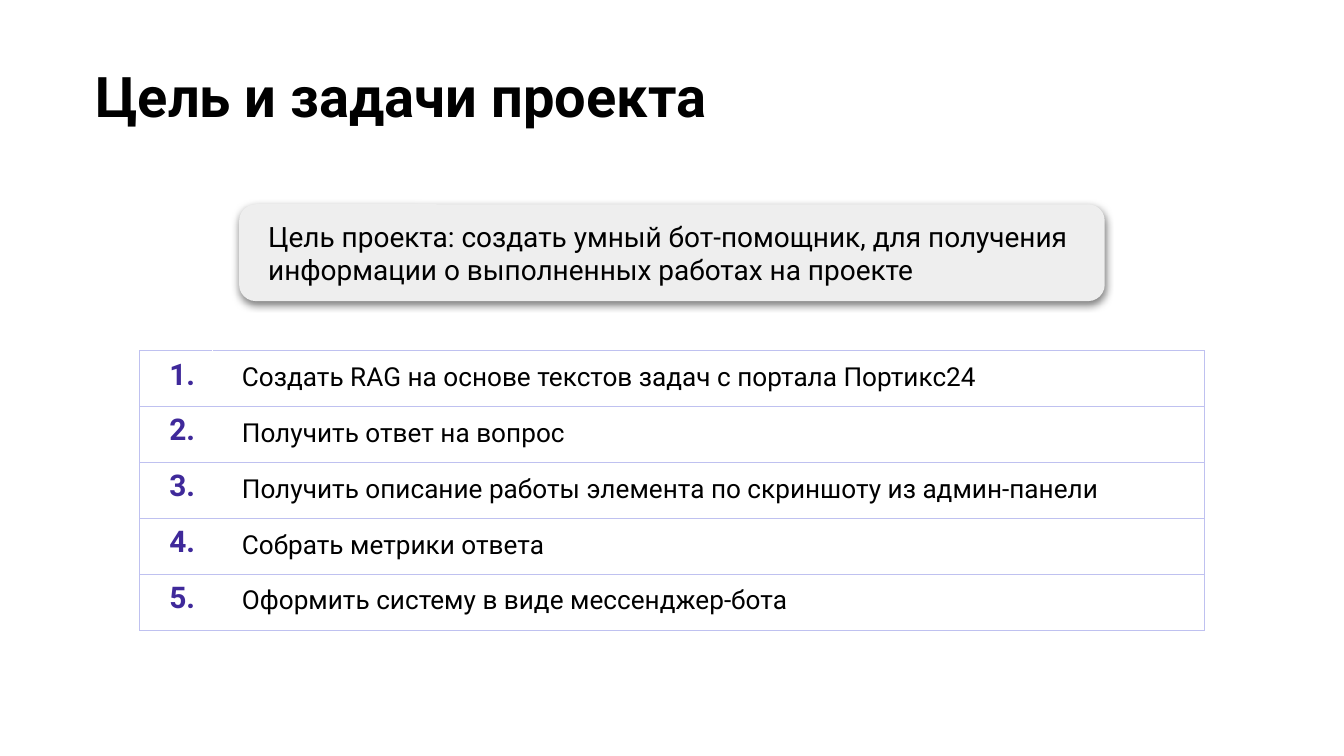
from lxml.etree import SubElement
from pptx import Presentation
from pptx.dml.color import RGBColor
from pptx.enum.shapes import MSO_SHAPE
from pptx.enum.text import MSO_ANCHOR, MSO_AUTO_SIZE, PP_ALIGN
from pptx.oxml import parse_xml
from pptx.oxml.ns import nsdecls, qn
from pptx.util import Inches, Pt

FONT = "Roboto"
COLORS = {"text": "000000", "number": "3F299A", "panel": "EEEEEE",
          "border": "BFC1F0", "divider": "FFFFFF"}
TASKS = [
    "Создать RAG на основе текстов задач с портала Портикс24",
    "Получить ответ на вопрос",
    "Получить описание работы элемента по скриншоту из админ-панели",
    "Собрать метрики ответа",
    "Оформить систему в виде мессенджер-бота",
]


def write(frame, text, size, color="text", bold=False, spacing=1.0):
    """Add one left-aligned run to the first paragraph of a text frame."""
    paragraph = frame.paragraphs[0]
    paragraph.alignment = PP_ALIGN.LEFT
    paragraph.line_spacing = spacing
    run = paragraph.add_run()
    run.text = text
    run.font.name = FONT
    run.font.size = Pt(size)
    run.font.bold = bold
    run.font.color.rgb = RGBColor.from_string(COLORS[color])


def set_margins(frame, side, vertical):
    """Set equal side and equal vertical margins of a text frame."""
    frame.margin_left = frame.margin_right = Inches(side)
    frame.margin_top = frame.margin_bottom = Inches(vertical)


def place_title(slide, left, top, width, height):
    """Place the slide heading in the title placeholder."""
    title = slide.shapes.title
    title.left, title.top = Inches(left), Inches(top)
    title.width, title.height = Inches(width), Inches(height)
    frame = title.text_frame
    frame.word_wrap = True
    frame.auto_size = MSO_AUTO_SIZE.NONE
    frame.vertical_anchor = MSO_ANCHOR.TOP
    set_margins(frame, 0.1, 0.1)
    write(frame, "Цель и задачи проекта", 30, bold=True)


def place_goal(slide, left, top, width, height):
    """Place the rounded goal panel with its soft shadow."""
    panel = slide.shapes.add_shape(
        MSO_SHAPE.ROUNDED_RECTANGLE,
        Inches(left), Inches(top), Inches(width), Inches(height))
    panel.adjustments[0] = 0.17
    panel.fill.solid()
    panel.fill.fore_color.rgb = RGBColor.from_string(COLORS["panel"])
    panel.line.fill.background()
    panel.element.spPr.append(parse_xml(
        f'<a:effectLst {nsdecls("a")}>'
        f'<a:outerShdw blurRad="{Pt(4.5)}" dist="{Pt(1.5)}" dir="5400000" '
        f'algn="bl" rotWithShape="0"><a:srgbClr val="{COLORS["text"]}">'
        '<a:alpha val="50000"/></a:srgbClr></a:outerShdw></a:effectLst>'))
    frame = panel.text_frame
    frame.word_wrap = True
    frame.vertical_anchor = MSO_ANCHOR.MIDDLE
    set_margins(frame, 0.18, 0.1)
    write(frame, "Цель проекта: создать умный бот-помощник, для получения "
                 "информации о выполненных работах на проекте", 15)


def set_borders(cell, left="border", right="border"):
    """Draw the four thin borders of a table cell."""
    properties = cell._tc.get_or_add_tcPr()
    sides = {"L": left, "R": right, "T": "border", "B": "border"}
    for side, color in sides.items():
        line = SubElement(properties, qn(f"a:ln{side}"), w=str(Pt(0.75)))
        fill = SubElement(line, qn("a:solidFill"))
        SubElement(fill, qn("a:srgbClr"), val=COLORS[color])


def place_tasks(slide, left, top, width, height, number_width):
    """Place the table of numbered tasks in equal rows."""
    table = slide.shapes.add_table(
        len(TASKS), 2, Inches(left), Inches(top),
        Inches(width), Inches(height)).table
    table.first_row = table.horz_banding = False
    table.columns[0].width = Inches(number_width)
    table.columns[1].width = Inches(width - number_width)
    for index, task in enumerate(TASKS):
        table.rows[index].height = Inches(height / len(TASKS))
        number_cell, task_cell = table.cell(index, 0), table.cell(index, 1)
        set_borders(number_cell, right="divider")
        set_borders(task_cell, left="divider")
        for cell in (number_cell, task_cell):
            cell.fill.background()
            cell.margin_left, cell.margin_right = Inches(0.22), Inches(0.1)
            cell.margin_top = cell.margin_bottom = Inches(0.05)
        write(number_cell.text_frame, f"{index + 1}.", 16, "number", bold=True)
        write(task_cell.text_frame, task, 14, spacing=1.15)


def main():
    """Build and save the slide."""
    presentation = Presentation()
    presentation.slide_width = Inches(10)
    presentation.slide_height = Inches(10 * 9 / 16)
    slide = presentation.slides.add_slide(presentation.slide_layouts[5])
    place_title(slide, 0.61, 0.36, 9.32, 1.43)
    place_tasks(slide, 1.04, 2.61, 7.92, 2.08, 0.54)
    place_goal(slide, 1.78, 1.52, 6.44, 0.72)
    presentation.save("out.pptx")


if __name__ == "__main__":
    main()
